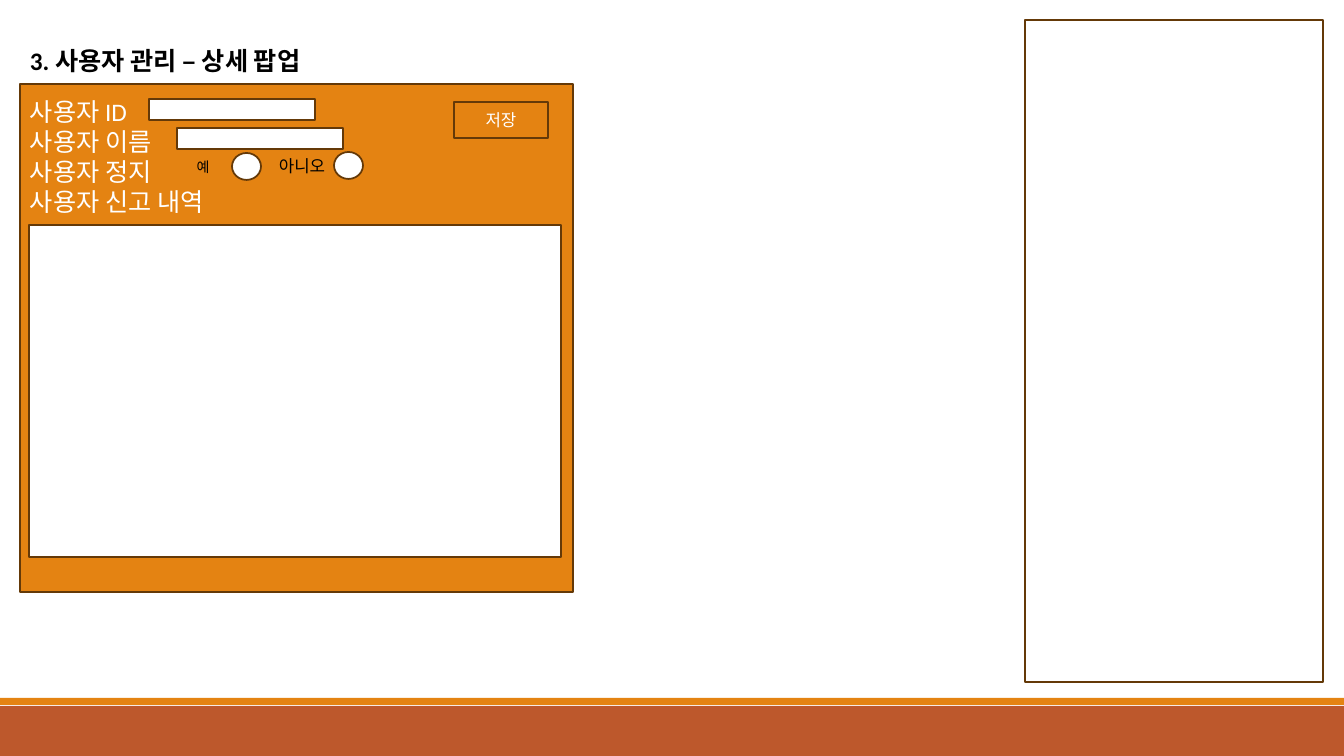
from pptx import Presentation
from pptx.dml.color import RGBColor
from pptx.enum.shapes import MSO_SHAPE
from pptx.enum.text import MSO_ANCHOR, PP_ALIGN
from pptx.util import Inches, Pt

RECT, OVAL = MSO_SHAPE.RECTANGLE, MSO_SHAPE.OVAL
TOP, MIDDLE = MSO_ANCHOR.TOP, MSO_ANCHOR.MIDDLE
LEFT, CENTER = PP_ALIGN.LEFT, PP_ALIGN.CENTER
ORANGE, RUST, BROWN = "E48312", "BD582C", "643908"
WHITE, BLACK = "FFFFFF", "000000"


def px(n):
    return round(n * Inches(1) / 100.8)


def rgb(value):
    return RGBColor.from_string(value)


class SlideBuilder:
    font = "Calibri"
    line_width = Pt(1.25)

    def __init__(self, slide):
        self.s = slide

    def shape(self, kind, box, fill=None, line=BROWN):
        sp = self.s.shapes.add_shape(kind, *map(px, box))
        sp.shadow.inherit = False
        if fill:
            sp.fill.solid()
            sp.fill.fore_color.rgb = rgb(fill)
        else:
            sp.fill.background()
        if line:
            sp.line.color.rgb = rgb(line)
            sp.line.width = self.line_width
        else:
            sp.line.fill.background()
        return sp

    def add_text(self, sp, lines, size, color, bold=False, frame=None, para=None):
        tf = sp.text_frame
        for name, value in {"word_wrap": True, **(frame or {})}.items():
            setattr(tf, name, value)
        for i, line in enumerate(lines):
            p = tf.paragraphs[0] if i == 0 else tf.add_paragraph()
            for name, value in {"alignment": LEFT, **(para or {})}.items():
                setattr(p, name, value)
            r = p.add_run()
            r.text = line
            for name, value in {"name": self.font, "size": Pt(size), "bold": bold}.items():
                setattr(r.font, name, value)
            r.font.color.rgb = rgb(color)

    def label(self, box, text, size, **fmt):
        sp = self.s.shapes.add_textbox(*map(px, box))
        self.add_text(sp, [text], size, BLACK, **fmt)


def main():
    prs = Presentation()
    prs.slide_width, prs.slide_height = px(1344), px(756)
    b = SlideBuilder(prs.slides.add_slide(prs.slide_layouts[6]))
    centered = {"alignment": CENTER}

    b.shape(RECT, (0, 706, 1344, 50), RUST, None)
    b.shape(RECT, (0, 698, 1344, 7), ORANGE, None)
    b.label((20, 40, 671, 40), "3. 사용자 관리 – 상세 팝업", 18, bold=True)

    popup = b.shape(RECT, (20, 84, 553, 508), ORANGE)
    fields = ["사용자 ID", "사용자 이름", "사용자 정지", "사용자 신고 내역"]
    b.add_text(popup, fields, 18, WHITE,
               frame={"vertical_anchor": TOP, "margin_top": px(12)},
               para={"line_spacing": Pt(21.6)})

    for box in [(149, 99, 166, 21), (29, 225, 532, 332), (177, 128, 166, 21)]:
        b.shape(RECT, box, WHITE)
    b.shape(RECT, (1025, 20, 298, 662))

    save = b.shape(RECT, (454, 102, 94, 36), ORANGE)
    b.add_text(save, ["저장"], 12, WHITE, frame={"vertical_anchor": MIDDLE}, para=centered)

    for x, y in [(232, 153), (334, 152)]:
        b.shape(OVAL, (x, y, 29, 27), WHITE)
    b.label((184, 154, 38, 27), "예", 10, para=centered)
    b.label((260, 151, 84, 30), "아니오", 12, para=centered)

    prs.save("out.pptx")


if __name__ == "__main__":
    main()
